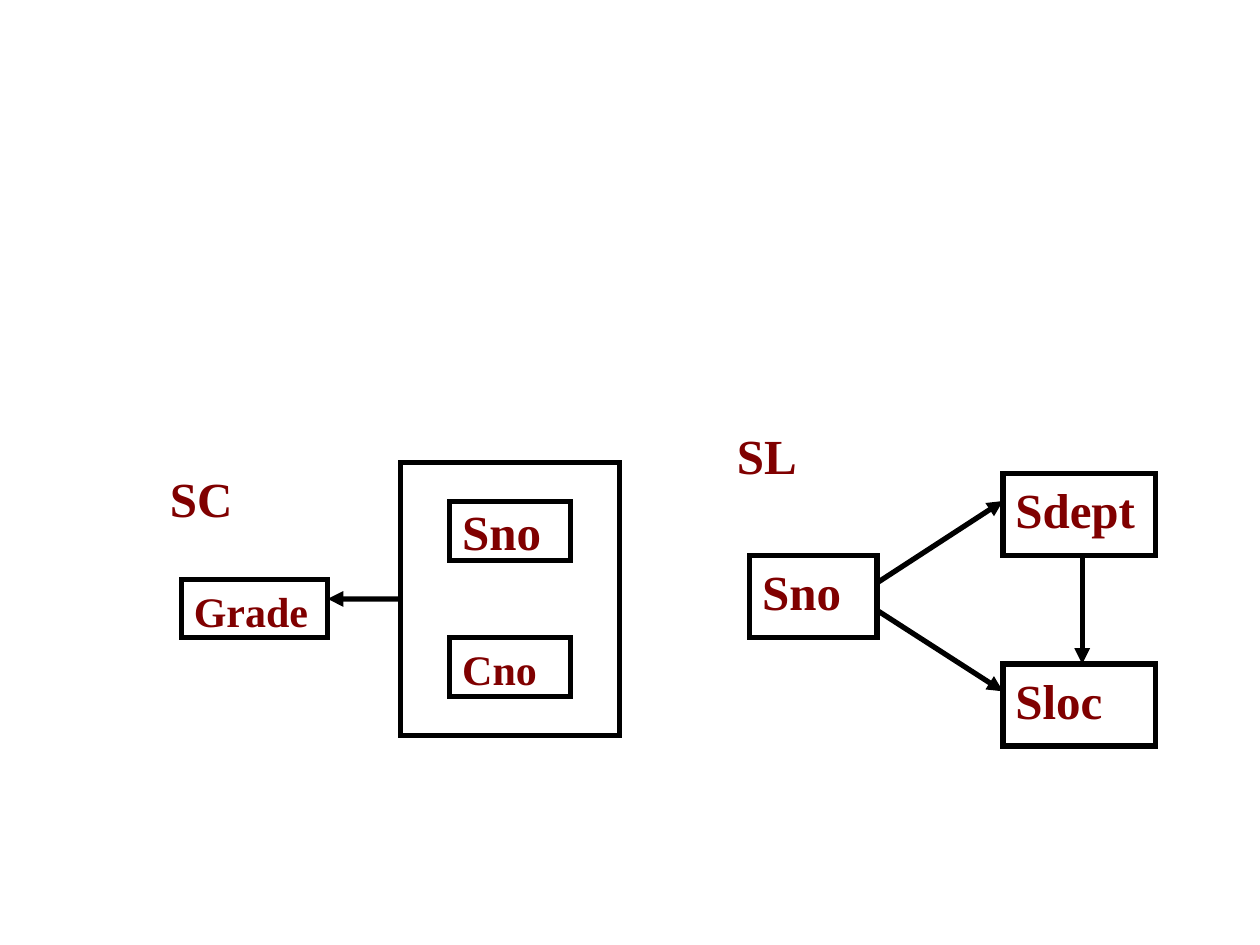
from lxml.etree import SubElement
from pptx import Presentation
from pptx.dml.color import RGBColor
from pptx.enum.shapes import MSO_CONNECTOR, MSO_SHAPE
from pptx.enum.text import MSO_ANCHOR, PP_ALIGN
from pptx.oxml.ns import qn
from pptx.util import Inches, Pt

HUES = {"ink": "000000", "text": "800000"}
FONT = "Times New Roman"
COLS, ROWS = 100, 75
WIDE, HIGH = Inches(10), Inches(7.5)


def hue(name):
    """Return the named colour."""
    return RGBColor.from_string(HUES[name])


def place(x, y):
    """Turn grid columns and rows into lengths."""
    return round(WIDE * x / COLS), round(HIGH * y / ROWS)


def spot(cell, across, down):
    """Return the grid point at shares of a cell's width and height."""
    x, y, w, h = cell
    return x + w * across, y + h * down


def write(shape, text, size=28, inset=0.5):
    """Put one bold label at the top of a shape, inset by grid rows."""
    frame = shape.text_frame
    frame.word_wrap = True
    frame.vertical_anchor = MSO_ANCHOR.TOP
    frame.margin_top = place(0, inset)[1]
    para = frame.paragraphs[0]
    para.alignment = PP_ALIGN.JUSTIFY
    run = para.add_run()
    run.text = text
    run.font.name = FONT
    run.font.size = Pt(size)
    run.font.bold = True
    run.font.color.rgb = hue("text")


def stroke(shape):
    """Give a shape a thick line with sharp corners and return its XML."""
    shape.line.color.rgb = hue("ink")
    shape.line.width = Pt(3)
    edge = shape._element.spPr.find(qn("a:ln"))
    SubElement(edge, qn("a:miter"), lim="800000")
    return edge


def add_box(shapes, cell, text="", size=28, inset=0.5):
    """Draw an outlined box with an optional label."""
    box = shapes.add_shape(MSO_SHAPE.RECTANGLE, *place(*cell[:2]), *place(*cell[2:]))
    box.shadow.inherit = False
    box.fill.background()
    stroke(box)
    if text:
        write(box, text, size, inset)


def add_label(shapes, cell, text):
    """Add the name of a relation."""
    write(shapes.add_textbox(*place(*cell[:2]), *place(*cell[2:])), text)


def add_arrow(shapes, start, end):
    """Draw a line with a triangle at its end."""
    line = shapes.add_connector(MSO_CONNECTOR.STRAIGHT, *place(*start), *place(*end))
    SubElement(stroke(line), qn("a:tailEnd"), type="triangle")
    SubElement(line._element.spPr, qn("a:effectLst"))


def draw_sc(shapes):
    """Draw the SC relation, whose paired key sets the grade."""
    key, grade = (31.8, 36.7, 17.4, 21.7), (14.4, 46, 11.6, 4.6)
    add_box(shapes, key)
    for row, text, size, inset in ((39.8, "Sno", 28, 0), (50.6, "Cno", 24, 0.5)):
        add_box(shapes, (35.7, row, 9.6, 4.7), text, size, inset)
    add_box(shapes, grade, "Grade", 24)
    add_arrow(shapes, spot(key, 0, 1 / 2), spot(grade, 1, 1 / 3))
    add_label(shapes, (12.5, 36.7, 9.7, 4.6), "SC")


def draw_sl(shapes, sdept, sloc):
    """Draw the SL relation, whose key sets both targets."""
    sno = (59.5, 44.1, 10.1, 6.5)
    add_label(shapes, (57.5, 33.3, 12.1, 6.5), "SL")
    for cell, text in ((sno, "Sno"), (sdept, "Sdept"), (sloc, "Sloc")):
        add_box(shapes, cell, text)
    for share, cell in ((1 / 3, sdept), (2 / 3, sloc)):
        add_arrow(shapes, spot(sno, 1, share), spot(cell, 0, 1 / 3))


def main():
    """Build and save the slide."""
    deck = Presentation()
    deck.slide_width, deck.slide_height = WIDE, HIGH
    shapes = deck.slides.add_slide(deck.slide_layouts[6]).shapes
    sdept, sloc = ((79.6, row, 12.1, 6.5) for row in (37.6, 52.7))
    draw_sc(shapes.add_group_shape().shapes)
    draw_sl(shapes.add_group_shape().shapes, sdept, sloc)
    add_arrow(shapes, spot(sdept, 0.52, 1), spot(sloc, 0.52, 0))
    deck.save("out.pptx")


if __name__ == "__main__":
    main()
